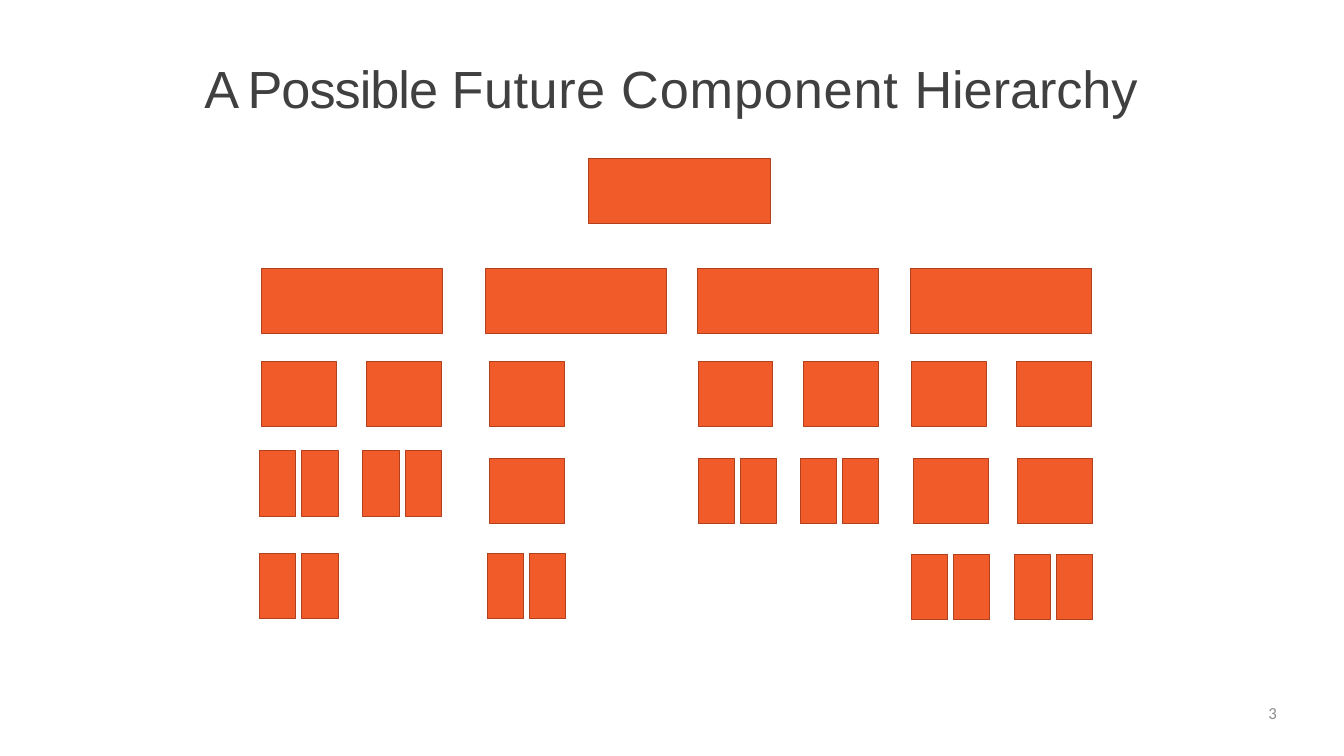
from pptx import Presentation
from pptx.dml.color import RGBColor
from pptx.enum.shapes import MSO_SHAPE as Shape
from pptx.enum.text import PP_ALIGN as Align
from pptx.util import Inches, Pt

ORANGE = RGBColor(0xF1, 0x5B, 0x2A)
RUST = RGBColor(0xB1, 0x41, 0x1C)
CHARCOAL = RGBColor(0x40, 0x40, 0x40)
GREY = RGBColor(0x8C, 0x8C, 0x8C)

WIDTH, HEIGHT = Inches(20), Inches(11.25)
COLS, ROWS = 20, 11.25

BOX_H = 0.97
ROOT_W, HALF_W, LEAF_W = 2.7, 1.11, 0.54
LEAF_PITCH = 0.63

# Each level: top row, box width, left columns
LEVELS = [
    (2.36, ROOT_W, [8.76]),
    (4, ROOT_W, [3.89, 7.22, 10.38]),
    (3.99, ROOT_W, [13.55]),
    (5.38, HALF_W, [3.89, 5.46, 7.29, 10.39, 11.96, 13.57, 15.13]),
    (6.82, HALF_W, [7.29, 13.6, 15.14]),
]
# Each level: top row, left columns of the leaf pairs
LEAF_PAIRS = [
    (6.71, [3.86, 5.4]),
    (6.82, [10.39, 11.91]),
    (8.24, [3.86, 7.25]),
    (8.25, [13.56, 15.09]),
]
# Title words with their letter spacing in points
TITLE = [("A ", -3.4), ("Possible ", -1.1), ("Future ", 0.6),
         ("Component ", 0.9), ("Hierarchy", -0.1)]


def add_run(p, text, font="Arial", size=18, color=CHARCOAL, spacing=0):
    r = p.add_run()
    r.text = text
    r.font.name, r.font.size = font, Pt(size)
    r.font.color.rgb = color
    if spacing:
        r.font._element.set("spc", str(round(spacing * 100)))


class Deck:
    def __init__(self):
        self.prs = Presentation()
        self.prs.slide_width, self.prs.slide_height = WIDTH, HEIGHT
        self.s = self.prs.slides.add_slide(self.prs.slide_layouts[6])

    def place(self, col, row, cols, rows):
        """Turn grid units into left, top, width and height."""
        x, y = WIDTH / COLS, HEIGHT / ROWS
        return [round(v) for v in (col * x, row * y, cols * x, rows * y)]

    def box(self, col, row, cols):
        sp = self.s.shapes.add_shape(Shape.RECTANGLE,
                                     *self.place(col, row, cols, BOX_H))
        sp.shadow.inherit = False
        sp.fill.solid()
        sp.fill.fore_color.rgb = ORANGE
        sp.line.color.rgb = RUST
        sp.line.width = Pt(1)

    def leaf_pair(self, col, row):
        for i in range(2):
            self.box(col + i * LEAF_PITCH, row, LEAF_W)

    def text(self, area, runs, align=Align.LEFT, **style):
        tf = self.s.shapes.add_textbox(*self.place(*area)).text_frame
        tf.word_wrap = True
        tf.margin_left = tf.margin_top = tf.margin_right = tf.margin_bottom = 0
        p = tf.paragraphs[0]
        p.alignment = align
        for words, spacing in runs:
            add_run(p, words, spacing=spacing, **style)


def main():
    deck = Deck()
    deck.text((3.04, 0.83, 13.9, 0.96), TITLE, size=56)
    for row, cols, lefts in LEVELS:
        for col in lefts:
            deck.box(col, row, cols)
    for row, lefts in LEAF_PAIRS:
        for col in lefts:
            deck.leaf_pair(col, row)
    deck.text((14.4, 10.46, 4.6, 0.56), [("3", 0)], align=Align.RIGHT,
              font="Calibri", color=GREY)
    deck.prs.save("out.pptx")


if __name__ == "__main__":
    main()
